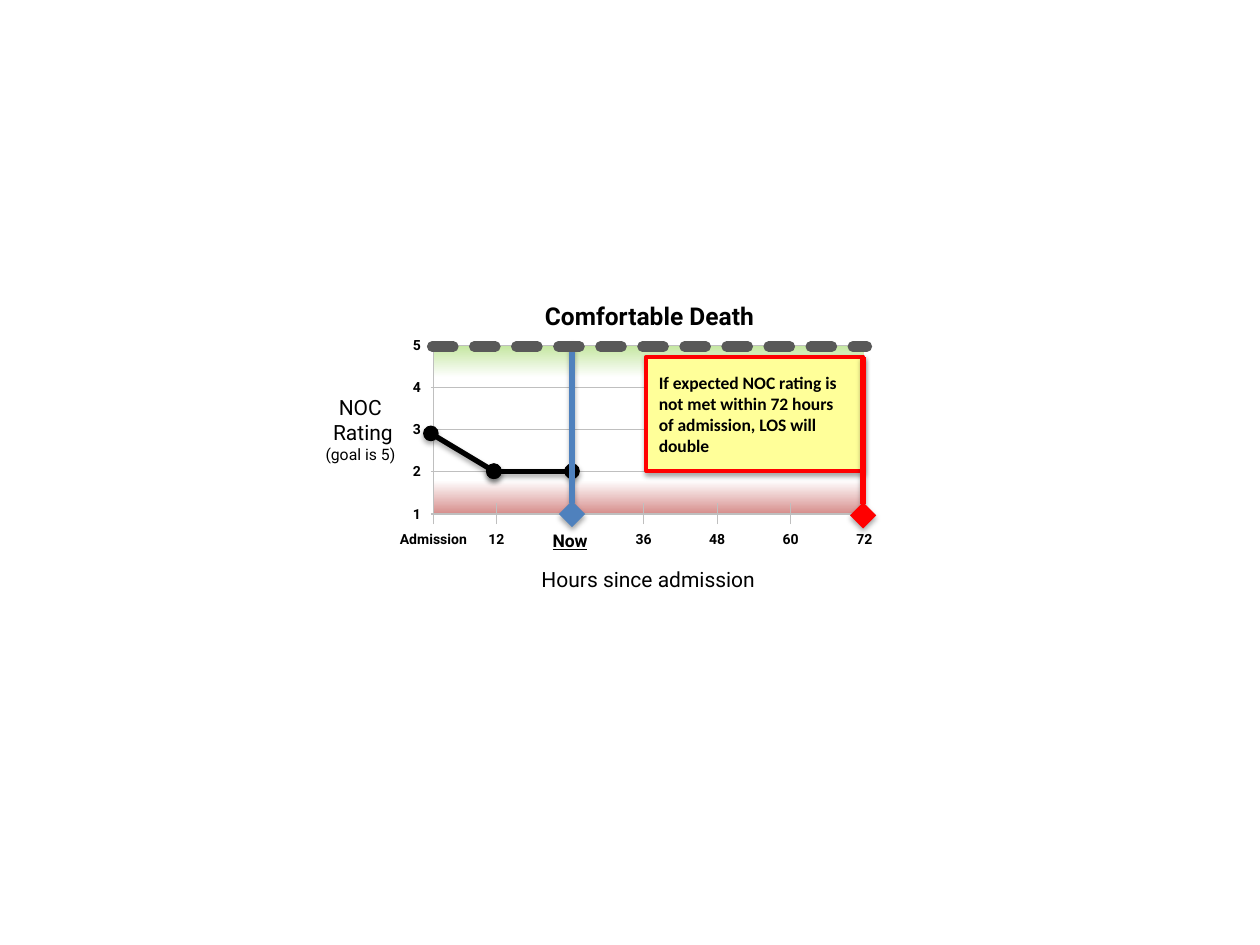
from lxml import etree
from pptx import Presentation
from pptx import util as u
from pptx.dml.color import RGBColor
from pptx.enum import shapes, text
from pptx.oxml.ns import qn

LEFT, RIGHT, TOP, BASE = 3.44, 6.86, 2.74, 4.08
ROWS = [TOP + i * (BASE - TOP) / 4 for i in range(5)]
TICKS = [LEFT] + [3.94 + i * (RIGHT - 3.94) / 5 for i in range(6)]
HOURS = ["Admission", "12", "Now", "36", "48", "60", "72"]
SHADE = 35


def paint(code):
    """Turn a hex string into a colour."""
    return RGBColor.from_string(code)


def box(left, top, width, height):
    """Turn inches into lengths."""
    return [u.Inches(v) for v in (left, top, width, height)]


def node(top, tag, **attrs):
    """Append a drawing element."""
    return etree.SubElement(top, qn("a:" + tag), {k: str(v) for k, v in attrs.items()})


def shadow(item, alpha=0):
    """Give a shape a soft lower shadow, or none."""
    area = item._element.spPr
    for old in area.findall(qn("a:effectLst")):
        area.remove(old)
    list_ = node(area, "effectLst")
    if alpha:
        cast = node(list_, "outerShdw", blurRad=39400, dist=22900, dir=5400000, rotWithShape=0)
        tint = node(cast, "srgbClr", val="000000")
        node(tint, "alpha", val=alpha * 1000)


def line(slide, start, end, color="BFBFBF", width=0.75, alpha=0):
    """Draw a straight line."""
    ends = [u.Inches(v) for v in (*start, *end)]
    item = slide.shapes.add_connector(shapes.MSO_CONNECTOR.STRAIGHT, *ends)
    item.line.color.rgb = paint(color)
    item.line.width = u.Pt(width)
    shadow(item, alpha)
    return item.line._get_or_add_ln()


def tip(stroke, kind, size="med", both=False):
    """Put markers on the ends of a line."""
    for tag in ("headEnd", "tailEnd")[:1 + both]:
        node(stroke, tag, type=kind, w=size, len=size)


def write(frame, rows, size, bold=False, align="CENTER", font="Roboto"):
    """Fill a text frame with paragraphs of one font."""
    frame.text = "\n".join(rows)
    for para in frame.paragraphs:
        para.alignment = getattr(text.PP_ALIGN, align)
        para.font.name = font
        para.font.size = u.Pt(size)
        para.font.bold = bold
        para.font.color.rgb = paint("000000")


def label(slide, place, rows, size, wrap=True, **style):
    """Add a text box."""
    frame = slide.shapes.add_textbox(*box(*place)).text_frame
    frame.word_wrap = wrap
    frame.auto_size = text.MSO_AUTO_SIZE.SHAPE_TO_FIT_TEXT
    write(frame, rows, size, **style)
    return frame


def title(slide, words):
    """Place the title above the plot."""
    item = slide.shapes.title
    item.left, item.top, item.width, item.height = box(3.43, 2.34, 3.45, 0.34)
    frame = item.text_frame
    frame.word_wrap = True
    frame.auto_size = text.MSO_AUTO_SIZE.SHAPE_TO_FIT_TEXT
    frame.vertical_anchor = text.MSO_ANCHOR.TOP
    write(frame, [words], 14, bold=True)


def band(slide):
    """Shade the plot from goal to worst rating."""
    item = slide.shapes.add_shape(
        shapes.MSO_SHAPE.RECTANGLE, *box(LEFT, TOP, RIGHT - LEFT, BASE - TOP))
    item.line.fill.background()
    item.fill.gradient()
    item.fill.gradient_angle = 270
    stops = item._element.spPr.find(".//" + qn("a:gsLst"))
    for old in list(stops):
        stops.remove(old)
    for pos, code in ((0, "C4E6A0"), (19, "FFFFFF"), (80, "FFFFFF"), (100, "D68D8B")):
        node(node(stops, "gs", pos=pos * 1000), "srgbClr", val=code)
    shadow(item)


def axes(slide):
    """Draw grid lines, ticks and their labels."""
    for y in ROWS:
        line(slide, (3.42, y), (RIGHT, y))
    line(slide, (LEFT, 4.16), (LEFT, TOP))
    for x in TICKS[1:]:
        line(slide, (x, 4.16), (x, 3.99))
    for x, name in zip(TICKS, HOURS):
        now = name == "Now"
        frame = label(slide, (x - 0.39, 4.16, 0.78, 0.24), [name],
                      10 if now else 8, wrap=False, bold=True)
        frame.paragraphs[0].font.underline = now
    for i, y in enumerate(ROWS):
        label(slide, (3.16, y - 0.12, 0.28, 0.24), [str(5 - i)], 8, bold=True, align="RIGHT")


def note(slide, words):
    """Add the yellow warning box."""
    item = slide.shapes.add_shape(shapes.MSO_SHAPE.RECTANGLE, *box(5.13, 2.83, 1.72, 0.91))
    item.fill.solid()
    item.fill.fore_color.rgb = paint("FFFF99")
    item.line.color.rgb = paint("FF0000")
    item.line.width = u.Pt(2.25)
    shadow(item, SHADE)
    item.text_frame.word_wrap = True
    item.text_frame.vertical_anchor = text.MSO_ANCHOR.MIDDLE
    write(item.text_frame, [words], 10, bold=True, align="LEFT", font="Calibri")


def main():
    """Build the slide."""
    deck = Presentation()
    deck.slide_width, deck.slide_height = u.Inches(10), u.Inches(7.5)
    slide = deck.slides.add_slide(deck.slide_layouts[5])
    band(slide)
    axes(slide)
    trend = [(3.42, 3.44), (3.92, 3.74), (4.54, 3.74)]
    for start, end in zip(trend, trend[1:]):
        tip(line(slide, start, end, "000000", 3, SHADE), "oval", both=True)
    note(slide, "If expected NOC rating is not met within 72 hours of admission, LOS will double")
    title(slide, "Comfortable Death")
    label(slide, (3.42, 4.45, 3.45, 0.3), ["Hours since admission"], 12)
    side = label(slide, (2.42, 3.08, 0.88, 0.66), ["NOC", " Rating", "(goal is 5)"], 12)
    side.paragraphs[2].font.size = u.Pt(9)
    tip(line(slide, (4.54, BASE), (4.54, 2.71), "4F81BD", 3, SHADE), "diamond", "lg")
    goal = line(slide, (3.43, 2.75), (6.88, 2.75), "595959", 6)
    goal.set("cap", "rnd")
    node(goal, "prstDash", val="sysDash")
    tip(line(slide, (6.85, 4.09), (6.85, 2.83), "FF0000", 3, SHADE), "diamond", "lg")
    deck.save("out.pptx")


if __name__ == "__main__":
    main()
